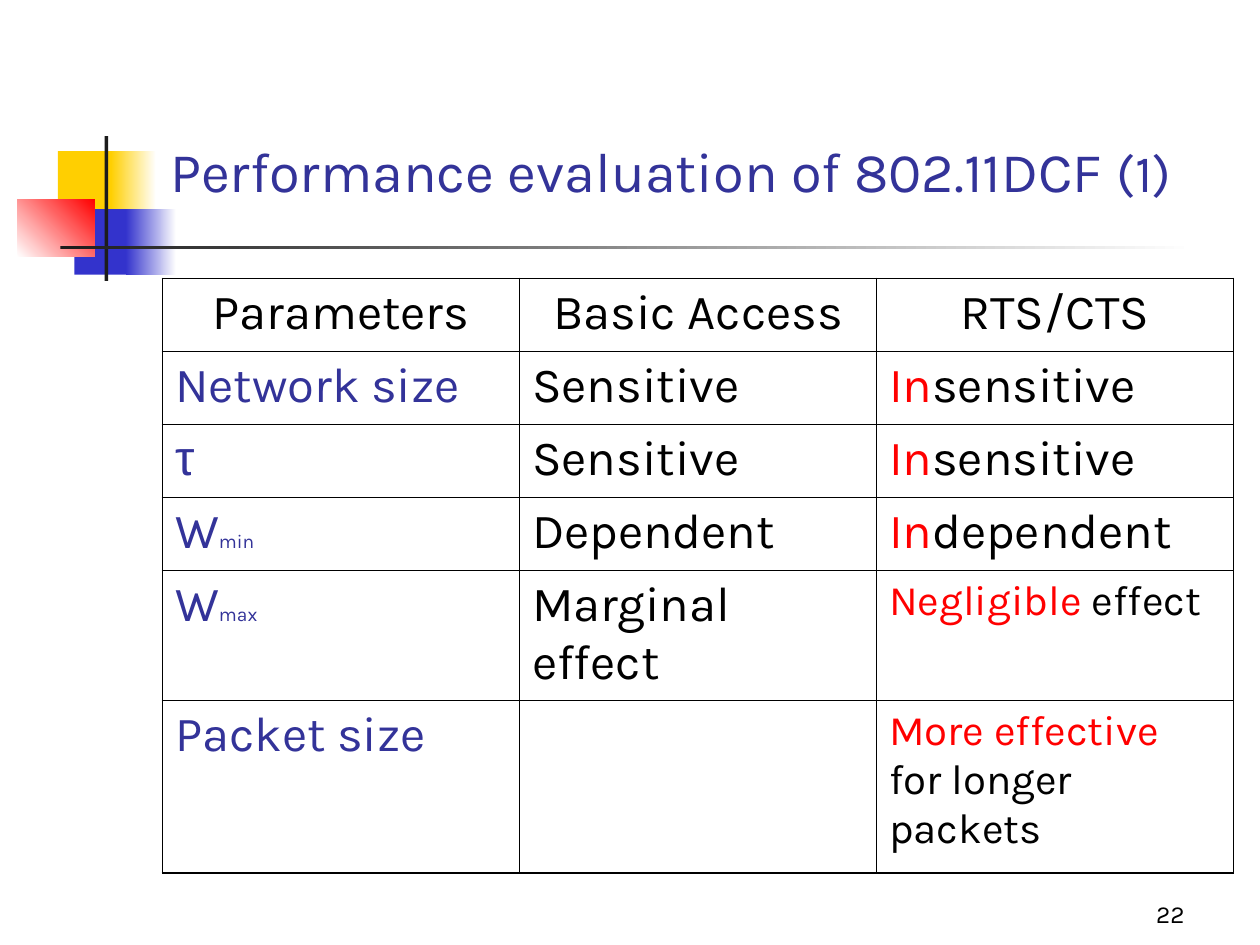
from lxml import etree
from pptx import Presentation
from pptx import util as u
from pptx.dml.color import RGBColor
from pptx.enum import shapes, text
from pptx.oxml import ns

BLACK = RGBColor(0x00, 0x00, 0x00)
WHITE = RGBColor(0xFF, 0xFF, 0xFF)
CHARCOAL = RGBColor(0x1C, 0x1C, 0x1C)
NAVY = RGBColor(0x33, 0x33, 0x99)
BLUE = RGBColor(0x33, 0x33, 0xCC)
RED = RGBColor(0xFF, 0x00, 0x00)
YELLOW = RGBColor(0xFF, 0xCF, 0x01)

FONT = "Karla"
THIN, THICK = 0.45, 1.08
COLUMN_WIDTH = 8.5 / 3
ROW_HEIGHTS = [0.58] * 4 + [1.03, 1.37]

TITLE = [("Performance evaluation of 802.11DCF ", 32, NAVY), ("(1)", 30, NAVY)]
PAGE_NUMBER = [("22", 14, BLACK)]

ORNAMENTS = [
    ((0.46, 1.2, 0.48, 0.52), [YELLOW], 0),
    ((0.88, 1.2, 0.36, 0.52), [YELLOW, WHITE], 0),
    ((0.59, 1.66, 0.46, 0.52), [BLUE], 0),
    ((1, 1.66, 0.4, 0.52), [BLUE, WHITE], 0),
    ((0.14, 1.58, 0.61, 0.46), [WHITE, RED], 45),
    ((0.83, 1.08, 0.03, 1.15), [CHARCOAL], 0),
    ((0.48, 1.95, 9, 0.03), [CHARCOAL, WHITE], 0),
]


def plain(words, color=BLACK):
    return [(words, 28, color)]


def contrast(marked, rest, size=28):
    return [(marked, size, RED), (rest, size, BLACK)]


def window(subscript):
    return [("W", 28, NAVY), (subscript, 11, NAVY)]


ROWS = [
    [plain("Parameters"), plain("Basic Access"), plain("RTS/CTS")],
    [plain("Network size", NAVY), plain("Sensitive"), contrast("In", "sensitive")],
    [plain("τ", NAVY), plain("Sensitive"), contrast("In", "sensitive")],
    [window("min"), plain("Dependent"), contrast("In", "dependent")],
    [window("max"), plain("Marginal effect"), contrast("Negligible", " effect", 24)],
    [plain("Packet size", NAVY), [], contrast("More effective", " for longer packets", 24)],
]


def write(frame, runs, alignment):
    paragraph = frame.paragraphs[0]
    paragraph.alignment = alignment
    for words, size, color in runs:
        run = paragraph.add_run()
        run.text = words
        run.font.name = "Arial" if words == "τ" else FONT
        run.font.size = u.Pt(size)
        run.font.color.rgb = color


def place(shape, *box):
    shape.left, shape.top, shape.width, shape.height = map(u.Inches, box)


def add_ornament(slide, box, colors, angle):
    shape = slide.shapes.add_shape(shapes.MSO_SHAPE.RECTANGLE, *map(u.Inches, box))
    shape.shadow.inherit = False
    shape.line.fill.background()
    if len(colors) == 1:
        shape.fill.solid()
        shape.fill.fore_color.rgb = colors[0]
    else:
        shape.fill.gradient()
        shape.fill.gradient_angle = angle
        for stop, color in zip(shape.fill.gradient_stops, colors):
            stop.color.rgb = color


def set_borders(cell, widths):
    properties = cell._tc.get_or_add_tcPr()
    for side, width in widths.items():
        line = etree.SubElement(properties, ns.qn(f"a:ln{side}"), w=str(u.Pt(width)))
        fill = etree.SubElement(line, ns.qn("a:solidFill"))
        etree.SubElement(fill, ns.qn("a:srgbClr"), val=str(BLACK))


def add_comparison(slide):
    last_row, last_column = len(ROWS) - 1, len(ROWS[0]) - 1
    frame = slide.shapes.add_table(
        len(ROWS), len(ROWS[0]), u.Inches(1.29), u.Inches(2.21),
        u.Inches(COLUMN_WIDTH * 3), u.Inches(sum(ROW_HEIGHTS)))
    table = frame.table
    table.first_row = table.horz_banding = False
    for column in table.columns:
        column.width = u.Inches(COLUMN_WIDTH)
    for i, (row, height) in enumerate(zip(ROWS, ROW_HEIGHTS)):
        table.rows[i].height = u.Inches(height)
        for j, runs in enumerate(row):
            cell = table.cell(i, j)
            set_borders(cell, {
                "L": THICK if j == 0 else THIN,
                "R": THICK if j == last_column else THIN,
                "T": THICK if i == 0 else THIN,
                "B": THICK if i == last_row else THIN,
            })
            cell.fill.background()
            write(cell.text_frame, runs, text.PP_ALIGN.CENTER if i == 0 else text.PP_ALIGN.LEFT)


def main():
    presentation = Presentation()
    presentation.slide_width, presentation.slide_height = u.Inches(10), u.Inches(7.5)
    slide = presentation.slides.add_slide(presentation.slide_layouts[5])

    for ornament in ORNAMENTS:
        add_ornament(slide, *ornament)

    title = slide.shapes.title
    place(title, 1.25, 1, 8.41, 0.67)
    title.text_frame.vertical_anchor = text.MSO_ANCHOR.BOTTOM
    title.text_frame.auto_size = text.MSO_AUTO_SIZE.NONE
    write(title.text_frame, TITLE, text.PP_ALIGN.LEFT)

    add_comparison(slide)

    number = slide.shapes.add_textbox(*map(u.Inches, (7.42, 6.92, 2.08, 0.5)))
    number.text_frame.word_wrap = True
    number.text_frame.vertical_anchor = text.MSO_ANCHOR.BOTTOM
    write(number.text_frame, PAGE_NUMBER, text.PP_ALIGN.RIGHT)

    presentation.save("out.pptx")


if __name__ == "__main__":
    main()
